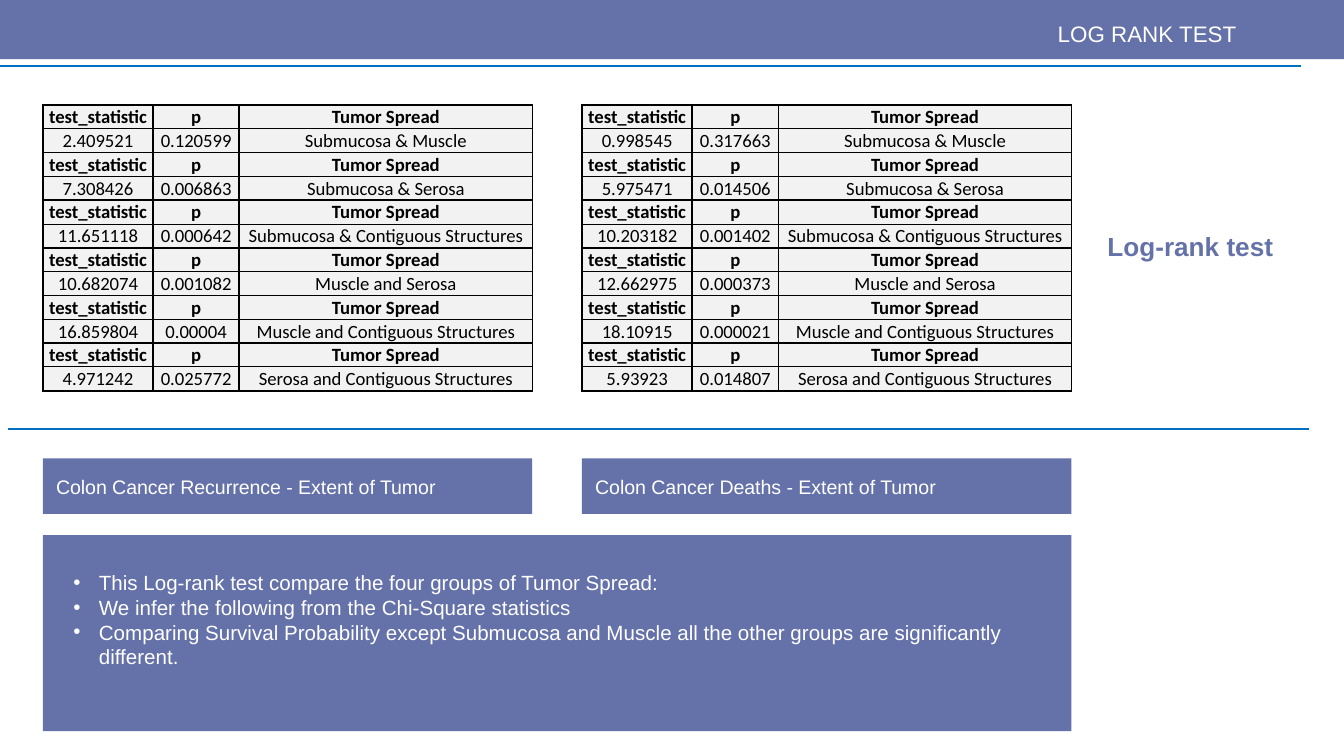
from lxml.etree import SubElement
from pptx import Presentation
from pptx.dml.color import RGBColor
from pptx.enum.shapes import MSO_CONNECTOR, MSO_SHAPE
from pptx.enum.text import MSO_ANCHOR, MSO_AUTO_SIZE, PP_ALIGN
from pptx.oxml.ns import qn
from pptx.util import Cm, Pt

SLATE = RGBColor(0x65, 0x72, 0xA9)
BLUE = RGBColor(0x00, 0x70, 0xC0)
WHITE = RGBColor(0xFF, 0xFF, 0xFF)
BLACK = RGBColor(0x00, 0x00, 0x00)
LIGHT_GRAY = RGBColor(0xF2, 0xF2, 0xF2)

SLIDE_WIDTH, SLIDE_HEIGHT = 25.4, 14.28
LEFT_COLUMN, RIGHT_COLUMN = 0.81, 11.0
COLUMN_WIDTHS = (2.08, 1.63, 5.54)
PANEL_WIDTH = sum(COLUMN_WIDTHS)
ROW_HEIGHT = 0.45

TABLE_HEADER = ("test_statistic", "p", "Tumor Spread")
COMPARISONS = (
    "Submucosa & Muscle",
    "Submucosa & Serosa",
    "Submucosa & Contiguous Structures",
    "Muscle and Serosa",
    "Muscle and Contiguous Structures",
    "Serosa and Contiguous Structures",
)
RECURRENCE_RESULTS = (
    ("2.409521", "0.120599"),
    ("7.308426", "0.006863"),
    ("11.651118", "0.000642"),
    ("10.682074", "0.001082"),
    ("16.859804", "0.00004"),
    ("4.971242", "0.025772"),
)
DEATH_RESULTS = (
    ("0.998545", "0.317663"),
    ("5.975471", "0.014506"),
    ("10.203182", "0.001402"),
    ("12.662975", "0.000373"),
    ("18.10915", "0.000021"),
    ("5.93923", "0.014807"),
)
PANELS = (
    (LEFT_COLUMN, RECURRENCE_RESULTS, "Colon Cancer Recurrence - Extent of Tumor"),
    (RIGHT_COLUMN, DEATH_RESULTS, "Colon Cancer Deaths - Extent of Tumor"),
)
FINDINGS = (
    "This Log-rank test compare the four groups of Tumor Spread:",
    "We infer the following from the Chi-Square statistics",
    "Comparing Survival Probability except Submucosa and Muscle all the other "
    "groups are significantly different.",
)


def add_run(paragraph, text, size, color, bold=False, font_name="Arial"):
    run = paragraph.add_run()
    run.text = text
    run.font.name = font_name
    run.font.size = Pt(size)
    run.font.bold = bold
    run.font.color.rgb = color


def add_rectangle(slide, left, top, width, height):
    shape = slide.shapes.add_shape(
        MSO_SHAPE.RECTANGLE, Cm(left), Cm(top), Cm(width), Cm(height))
    shape.shadow.inherit = False
    shape.fill.solid()
    shape.fill.fore_color.rgb = SLATE
    shape.line.fill.background()
    return shape


def add_caption(slide, left, text):
    shape = add_rectangle(slide, left, 8.66, PANEL_WIDTH, 1.05)
    shape.text_frame.vertical_anchor = MSO_ANCHOR.MIDDLE
    paragraph = shape.text_frame.paragraphs[0]
    paragraph.alignment = PP_ALIGN.LEFT
    add_run(paragraph, text, 10.5, WHITE)


def add_rule(slide, left, top, width):
    connector = slide.shapes.add_connector(
        MSO_CONNECTOR.STRAIGHT, Cm(left), Cm(top), Cm(left + width), Cm(top))
    connector.line.color.rgb = BLUE
    connector.line.width = Pt(1)
    SubElement(connector._element.spPr, qn("a:effectLst"))


def set_borders(cell, top, bottom):
    """Draw black borders: 1 pt at the sides, the given points above and below."""
    properties = cell._tc.get_or_add_tcPr()
    for side, width in (("L", 1), ("R", 1), ("T", top), ("B", bottom)):
        line = SubElement(properties, qn(f"a:ln{side}"), w=str(Pt(width)))
        fill = SubElement(line, qn("a:solidFill"))
        SubElement(fill, qn("a:srgbClr"), val=str(BLACK))


def format_cell(cell, text, is_header):
    set_borders(cell, *((1, 0.5) if is_header else (0.5, 1)))
    cell.fill.solid()
    cell.fill.fore_color.rgb = LIGHT_GRAY
    cell.margin_left = cell.margin_right = cell.margin_top = Cm(0.02)
    cell.margin_bottom = 0
    cell.vertical_anchor = MSO_ANCHOR.BOTTOM
    paragraph = cell.text_frame.paragraphs[0]
    paragraph.alignment = PP_ALIGN.CENTER
    add_run(paragraph, text, 10, BLACK, is_header, "Calibri")


def add_results_table(slide, left, results):
    """Add a table that repeats the header above each comparison."""
    rows = []
    for result, comparison in zip(results, COMPARISONS):
        rows += [TABLE_HEADER, (*result, comparison)]
    table = slide.shapes.add_table(
        len(rows), len(TABLE_HEADER), Cm(left), Cm(1.98),
        Cm(PANEL_WIDTH), Cm(ROW_HEIGHT * len(rows))).table
    table.first_row = table.horz_banding = False
    for column, width in zip(table.columns, COLUMN_WIDTHS):
        column.width = Cm(width)
    for row_index, values in enumerate(rows):
        table.rows[row_index].height = Cm(ROW_HEIGHT)
        for column_index, text in enumerate(values):
            format_cell(table.cell(row_index, column_index), text,
                        values is TABLE_HEADER)


def add_title(slide, text):
    band = add_rectangle(slide, 0, 0, SLIDE_WIDTH, 1.12)
    title = slide.shapes.title
    title._element.addprevious(band._element)
    title.left, title.top = Cm(12.09), Cm(0.13)
    title.width, title.height = Cm(11.53), Cm(0.76)
    frame = title.text_frame
    frame.auto_size = MSO_AUTO_SIZE.NONE
    frame.vertical_anchor = MSO_ANCHOR.TOP
    frame.margin_left = frame.margin_right = Cm(0.25)
    frame.margin_top = frame.margin_bottom = Cm(0.25)
    paragraph = frame.paragraphs[0]
    paragraph.alignment = PP_ALIGN.RIGHT
    add_run(paragraph, text, 12, WHITE)


def add_side_label(slide, text):
    box = slide.shapes.add_textbox(Cm(20.68), Cm(4.22), Cm(3.66), Cm(0.86))
    box.text_frame.word_wrap = False
    add_run(box.text_frame.paragraphs[0], text, 14, SLATE, bold=True)


def add_bullet(paragraph):
    properties = paragraph._p.get_or_add_pPr()
    properties.set("marL", str(Cm(0.48)))
    properties.set("indent", str(-Cm(0.48)))
    color = SubElement(properties, qn("a:buClr"))
    SubElement(color, qn("a:srgbClr"), val=str(WHITE))
    SubElement(properties, qn("a:buFont"), typeface="Arial")
    SubElement(properties, qn("a:buChar"), char="•")


def add_findings(slide):
    add_rectangle(slide, LEFT_COLUMN, 10.11,
                  RIGHT_COLUMN + PANEL_WIDTH - LEFT_COLUMN, 3.7)
    box = slide.shapes.add_textbox(Cm(1.14), Cm(10.19), Cm(19.3), Cm(3.07))
    frame = box.text_frame
    frame.word_wrap = True
    frame.margin_top = Cm(0.58)
    for index, text in enumerate(FINDINGS):
        paragraph = frame.add_paragraph() if index else frame.paragraphs[0]
        add_bullet(paragraph)
        add_run(paragraph, text, 11, WHITE)


def main():
    presentation = Presentation()
    presentation.slide_width = Cm(SLIDE_WIDTH)
    presentation.slide_height = Cm(SLIDE_HEIGHT)
    slide = presentation.slides.add_slide(presentation.slide_layouts[5])

    add_title(slide, "LOG RANK TEST")
    for left, results, caption in PANELS:
        add_results_table(slide, left, results)
        add_caption(slide, left, caption)
    add_rule(slide, 0.15, 8.1, 24.59)
    add_side_label(slide, "Log-rank test")
    add_rule(slide, 0, 1.24, 24.59)
    add_findings(slide)
    presentation.save("out.pptx")


if __name__ == "__main__":
    main()
